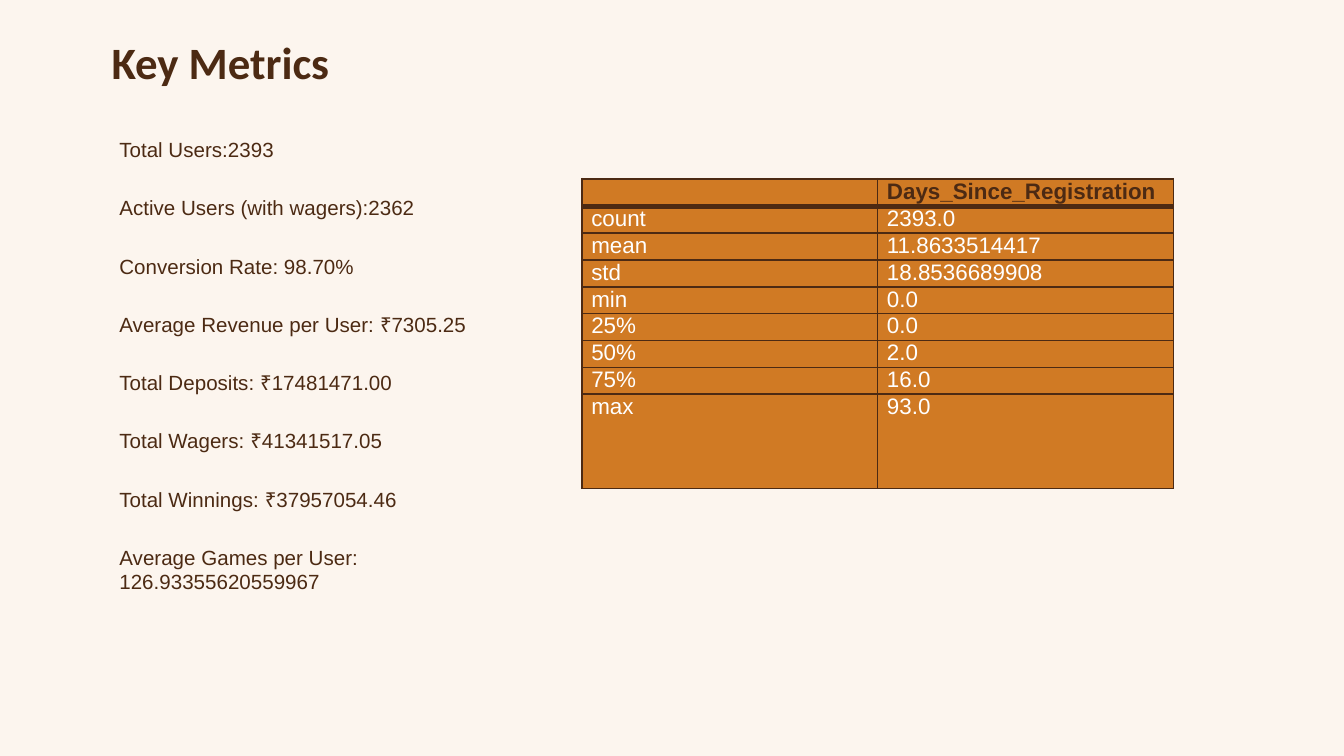
from lxml.etree import SubElement
from pptx import Presentation
from pptx.dml.color import RGBColor
from pptx.enum.text import MSO_ANCHOR, MSO_AUTO_SIZE, PP_ALIGN
from pptx.oxml.ns import qn
from pptx.util import Inches, Pt

COLORS = {"cream": "FCF5EE", "brown": "4C2A13", "orange": "D07A24", "white": "FFFFFF"}

TITLE = "Key Metrics"
METRICS = [
    "Total Users:2393",
    "Active Users (with wagers):2362",
    "Conversion Rate: 98.70%",
    "Average Revenue per User: ₹7305.25",
    "Total Deposits: ₹17481471.00",
    "Total Wagers: ₹41341517.05",
    "Total Winnings: ₹37957054.46",
    "Average Games per User: 126.93355620559967",
]
STATISTICS = [
    ("", "Days_Since_Registration"),
    ("count", "2393.0"),
    ("mean", "11.8633514417"),
    ("std", "18.8536689908"),
    ("min", "0.0"),
    ("25%", "0.0"),
    ("50%", "2.0"),
    ("75%", "16.0"),
    ("max", "93.0"),
]
COLUMN_WIDTH, ROW_HEIGHT, LAST_ROW_HEIGHT = 2.2, 0.2, 0.7
THIN, THICK = 1, 3


def rgb(name):
    return RGBColor.from_string(COLORS[name])


def write(paragraph, text, size, font="Arial", color="brown", bold=False,
          before=0, after=0):
    paragraph.alignment = PP_ALIGN.LEFT
    paragraph.space_before, paragraph.space_after = Pt(before), Pt(after)
    if not text:
        SubElement(paragraph._p, qn("a:endParaRPr"), sz=str(size * 100))
        return
    run = paragraph.add_run()
    run.text = text
    run.font.size, run.font.name, run.font.bold = Pt(size), font, bold
    run.font.color.rgb = rgb(color)


def set_frame(frame):
    frame.word_wrap = True
    frame.auto_size = MSO_AUTO_SIZE.NONE
    frame.vertical_anchor = MSO_ANCHOR.TOP


def set_borders(cell, top, bottom):
    properties = cell._tc.get_or_add_tcPr()
    for side, width in (("L", THIN), ("R", THIN), ("T", top), ("B", bottom)):
        line = SubElement(properties, qn(f"a:ln{side}"), w=str(Pt(width)))
        fill = SubElement(line, qn("a:solidFill"))
        SubElement(fill, qn("a:srgbClr"), val=COLORS["brown"])


def add_title(slide):
    title = slide.shapes.title
    title.left, title.top = Inches(0.73), Inches(0.21)
    title.width, title.height = Inches(8), Inches(0.76)
    set_frame(title.text_frame)
    write(title.text_frame.paragraphs[0], TITLE, 24, font="Calibri", bold=True,
          before=9, after=9)


def add_metrics(slide):
    metrics = slide.shapes.add_textbox(Inches(0.79), Inches(0.97), Inches(3.06), Inches(3.79))
    frame = metrics.text_frame
    set_frame(frame)
    for index, metric in enumerate(METRICS):
        paragraph = frame.add_paragraph() if index else frame.paragraphs[0]
        write(paragraph, metric, 11, before=18 if index else 9)


def add_statistics(slide):
    heights = [ROW_HEIGHT] * (len(STATISTICS) - 1) + [LAST_ROW_HEIGHT]
    columns = len(STATISTICS[0])
    table = slide.shapes.add_table(
        len(STATISTICS), columns, Inches(4.33), Inches(1.33),
        Inches(columns * COLUMN_WIDTH), Inches(sum(heights))).table
    for column in table.columns:
        column.width = Inches(COLUMN_WIDTH)
    for index, (values, height) in enumerate(zip(STATISTICS, heights)):
        table.rows[index].height = Inches(height)
        header = index == 0
        for cell, value in zip(table.rows[index].cells, values):
            cell.margin_left = cell.margin_right = Inches(0.07)
            cell.margin_top = cell.margin_bottom = 0
            set_borders(cell, top=THICK if index == 1 else THIN,
                        bottom=THICK if header else THIN)
            cell.fill.solid()
            cell.fill.fore_color.rgb = rgb("orange")
            write(cell.text_frame.paragraphs[0], value, 12, bold=header,
                  color="brown" if header else "white")


def main():
    deck = Presentation()
    deck.slide_width = Inches(10)
    deck.slide_height = deck.slide_width * 9 // 16
    slide = deck.slides.add_slide(deck.slide_layouts[5])
    slide.background.fill.solid()
    slide.background.fill.fore_color.rgb = rgb("cream")
    add_title(slide)
    add_metrics(slide)
    add_statistics(slide)
    deck.save("out.pptx")


if __name__ == "__main__":
    main()
